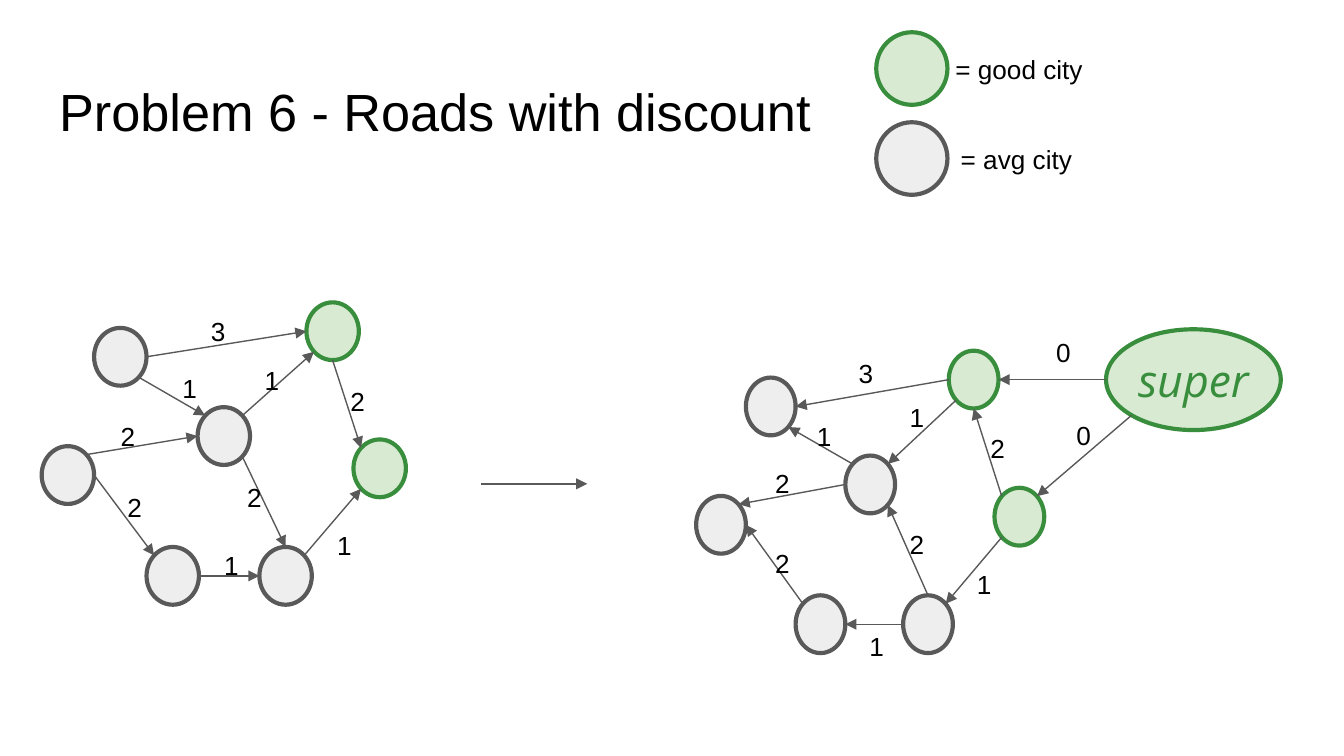
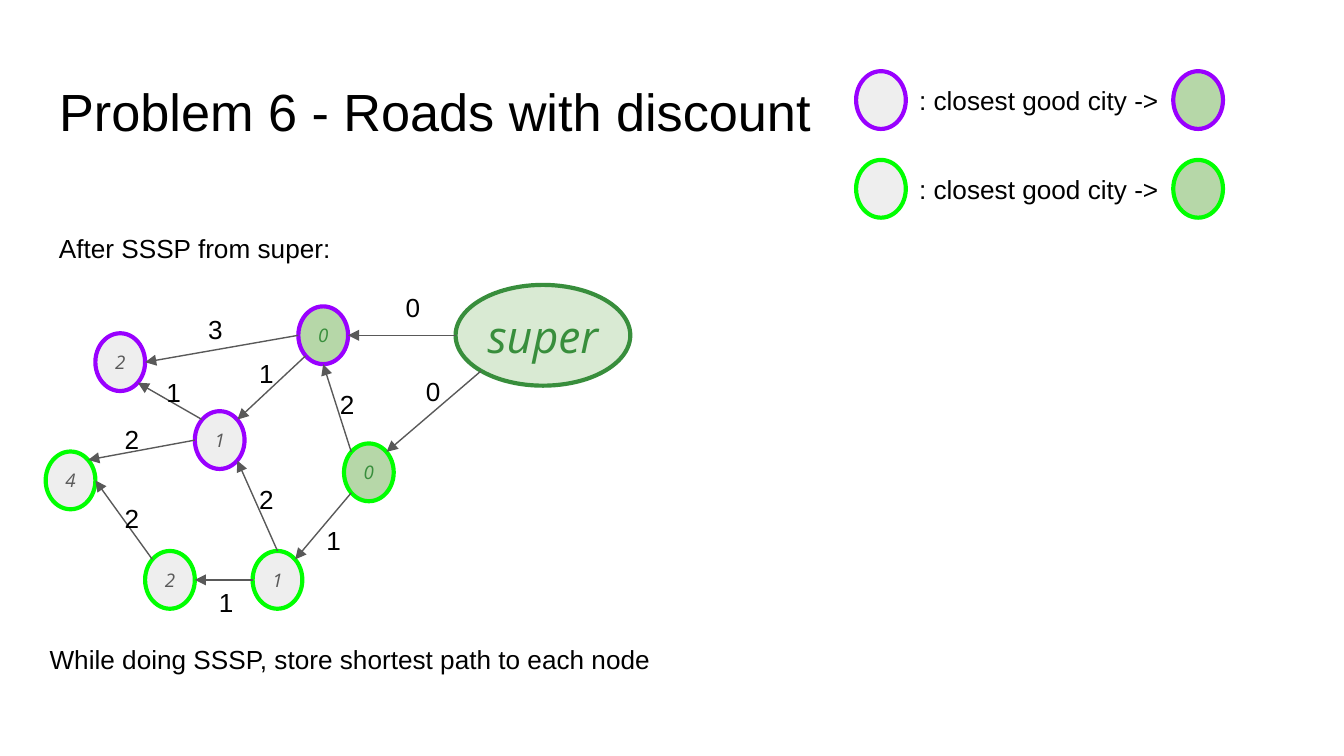
"""Build two slides on roads with discount: the reversed road graph and its shortest paths."""
from lxml import etree
from pptx import Presentation
from pptx.dml.color import RGBColor
from pptx.enum.shapes import MSO_CONNECTOR as CXN, MSO_SHAPE as SHAPE
from pptx.enum.text import MSO_ANCHOR as ANCHOR, MSO_AUTO_SIZE as FIT, PP_ALIGN as ALIGN
from pptx.oxml.ns import qn
from pptx.util import Emu, Pt

EMU_PER_PX = 9144
BLACK, GRAY, PALE_GRAY = "000000", "595959", "EEEEEE"
GREEN, PALE_GREEN, SOFT_GREEN = "388E3C", "D9EAD3", "B6D7A8"
PURPLE, LIME = "9900FF", "00FF00"
rgb = RGBColor.from_string


def px(n):
    """Turn px into EMU."""
    return Emu(round(n * EMU_PER_PX))


def write(tf, text, size, color, name="Arial", italic=None, align=ALIGN.LEFT):
    """Fill a text frame with one formatted paragraph."""
    tf.text = text
    tf.word_wrap = True
    p = tf.paragraphs[0]
    p.alignment = align
    font = p.runs[0].font
    font.name, font.size, font.italic = name, Pt(size), italic
    font.color.rgb = rgb(color)


prs = Presentation()
prs.slide_width, prs.slide_height = px(1000), px(1000 * 9 / 16)

slides = []
for title_width in (595, 586):
    s = prs.slides.add_slide(prs.slide_layouts[5])
    sp = s.shapes.title
    sp.left, sp.top, sp.width, sp.height = px(34), px(49), px(title_width), px(63)
    tf = sp.text_frame
    write(tf, "Problem 6 - Roads with discount", 28, BLACK)
    tf.auto_size, tf.vertical_anchor = FIT.NONE, ANCHOR.TOP
    tf.margin_left = tf.margin_right = tf.margin_top = tf.margin_bottom = px(10)
    slides.append(s)
problem, solution = slides

SHIFT_X, SHIFT_Y = -484, -33
SITES = {"N": (0, -1), "S": (0, 1), "W": (-1, 0), "E": (1, 0),
         "NW": (-0.71, -0.71), "NE": (0.71, -0.71),
         "SW": (-0.71, 0.71), "SE": (0.71, 0.71)}
GOOD = "bg"

forward = {"a": (70, 244), "b": (228, 225), "c": (147, 303), "d": (31, 332),
           "e": (109, 407), "f": (193, 407), "g": (263, 327)}
backward = {"a": (555, 281), "b": (706, 261), "c": (629, 339), "d": (518, 369),
            "e": (592, 443), "f": (672, 443), "g": (740, 363)}
forward = {k: (x, y, 39, 43) for k, (x, y) in forward.items()}
backward = {k: (x, y, 37, 43) for k, (x, y) in backward.items()}
backward["super"] = (823, 245, 130, 75)
shifted = {k: (x + SHIFT_X, y + SHIFT_Y, w, h) for k, (x, y, w, h) in backward.items()}

roads = [
    ("super", "W", "b", "E", "0", None, (776, 240)),
    ("super", "SW", "g", "NE", "0", None, (791, 302)),
    ("g", "NW", "b", "S", "2", (251, 277), (727, 312)),
    ("g", "SW", "f", "NE", "1", (241, 384), (717, 413)),
    ("b", "W", "a", "E", "3", (147, 225), (629, 256)),
    ("c", "NW", "a", "SE", "1", (126, 267), (598, 303)),
    ("c", "W", "d", "NE", "2", (80, 303), (567, 338)),
    ("e", "NW", "d", "E", "2", (85, 356), (567, 397)),
    ("f", "W", "e", "E", "1", (157, 399), (637, 459)),
    ("f", "N", "c", "SE", "2", (174, 348), (667, 383)),
    ("b", "SW", "c", "NE", "1", (187, 261), (667, 289)),
]
closest = {"a": (PURPLE, "2"), "b": (PURPLE, "0"), "c": (PURPLE, "1"), "d": (LIME, "4"),
           "e": (LIME, "2"), "f": (LIME, "1"), "g": (LIME, "0")}

ovals = [(problem, (652, 24, 53, 54), PALE_GREEN, GREEN, ""),
         (problem, (652, 91, 53, 54), PALE_GRAY, GRAY, "")]
labels = [(problem, "= good city", 701, 30, 117),
          (problem, "= avg city", 705, 97, 117),
          (solution, "After SSSP from super:", 34, 163, 224),
          (solution, "While doing SSSP, store shortest path to each node", 27, 469, 635)]
arrows = [(problem, (358, 360), (437, 360))]

for y, color in ((53, PURPLE), (119, LIME)):
    ovals.append((solution, (637, y, 37, 43), PALE_GRAY, color, ""))
    ovals.append((solution, (873, y, 37, 43), SOFT_GREEN, color, ""))
    labels.append((solution, ": closest good city ->", 674, y, 222))

for s, nodes in ((problem, forward), (problem, backward), (solution, shifted)):
    for k, box in nodes.items():
        good = k in GOOD
        if k == "super":
            ovals.append((s, box, PALE_GREEN, GREEN, k))
        elif s is solution:
            ovals.append((s, box, SOFT_GREEN if good else PALE_GRAY, *closest[k]))
        else:
            ovals.append((s, box, PALE_GREEN if good else PALE_GRAY,
                          GREEN if good else GRAY, ""))
    for start, start_site, end, end_site, weight, forward_at, backward_at in roads:
        if start not in nodes:
            continue
        ends = []
        for k, site in ((start, start_site), (end, end_site)):
            x, y, w, h = nodes[k]
            dx, dy = SITES[site]
            ends.append((x + w / 2 * (1 + dx), y + h / 2 * (1 + dy)))
        if nodes is forward:
            ends.reverse()
        arrows.append((s, *ends))
        x, y = forward_at if nodes is forward else backward_at
        if nodes is shifted:
            x, y = x + SHIFT_X, y + SHIFT_Y
        labels.append((s, weight, x, y, 31 if weight == "0" else 27))

for s, box, fill, line, text in ovals:
    sp = s.shapes.add_shape(SHAPE.OVAL, *map(px, box))
    sp.shadow.inherit = False
    sp.fill.solid()
    sp.fill.fore_color.rgb = rgb(fill)
    sp.line.color.rgb = rgb(line)
    sp.line.width = Pt(2.25)
    if text:
        tf = sp.text_frame
        tf.margin_left = tf.margin_right = tf.margin_top = tf.margin_bottom = 0
        tf.vertical_anchor = ANCHOR.MIDDLE
        write(tf, text, 24 if text == "super" else 10,
              GRAY if fill == PALE_GRAY else GREEN, "Open Sans", True, ALIGN.CENTER)

for s, (x1, y1), (x2, y2) in arrows:
    cxn = s.shapes.add_connector(CXN.STRAIGHT, px(x1), px(y1), px(x2), px(y2))
    cxn.line.color.rgb = rgb(GRAY)
    cxn.line.width = Pt(0.75)
    etree.SubElement(cxn.line._get_or_add_ln(), qn("a:tailEnd"), type="triangle")
    etree.SubElement(cxn._element.spPr, qn("a:effectLst"))

for s, text, x, y, w in labels:
    tf = s.shapes.add_textbox(px(x), px(y), px(w), px(44)).text_frame
    tf.margin_left = tf.margin_right = tf.margin_top = tf.margin_bottom = px(10)
    write(tf, text, 14, BLACK)
    tf.auto_size = FIT.SHAPE_TO_FIT_TEXT

prs.save("out.pptx")
